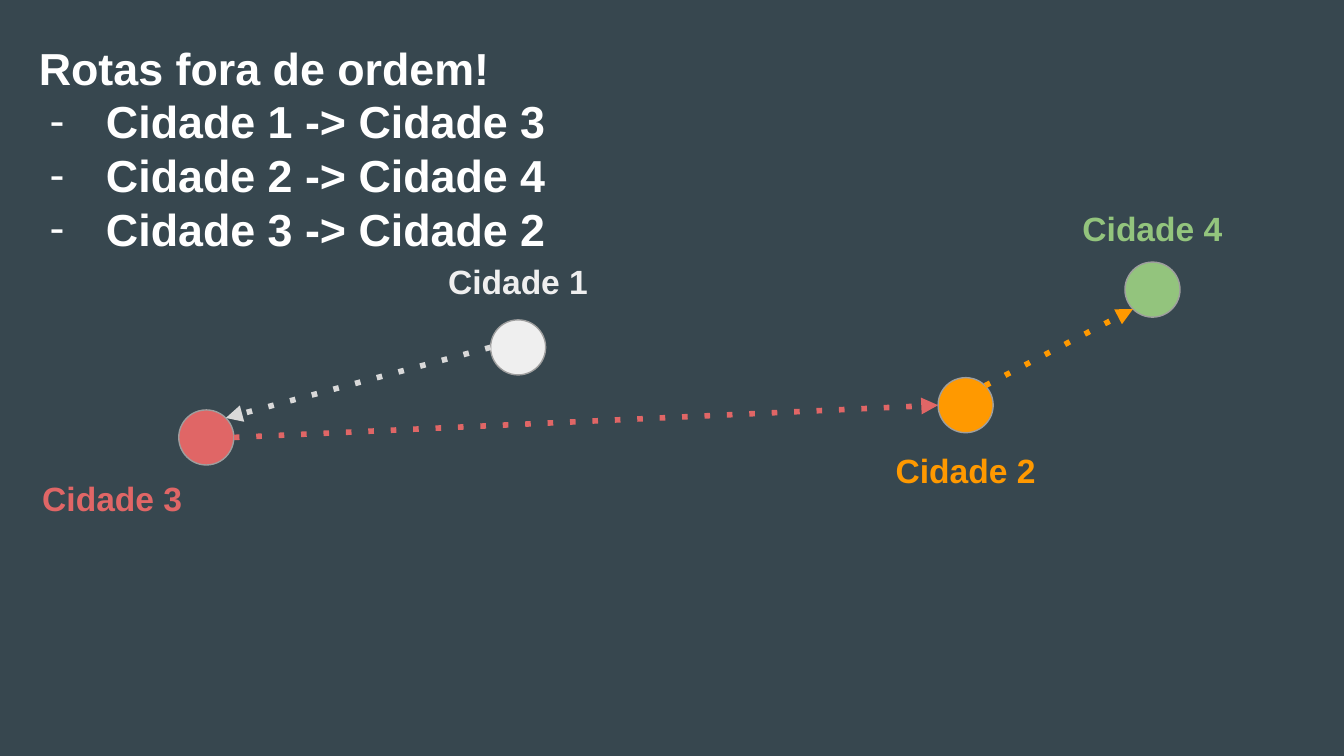
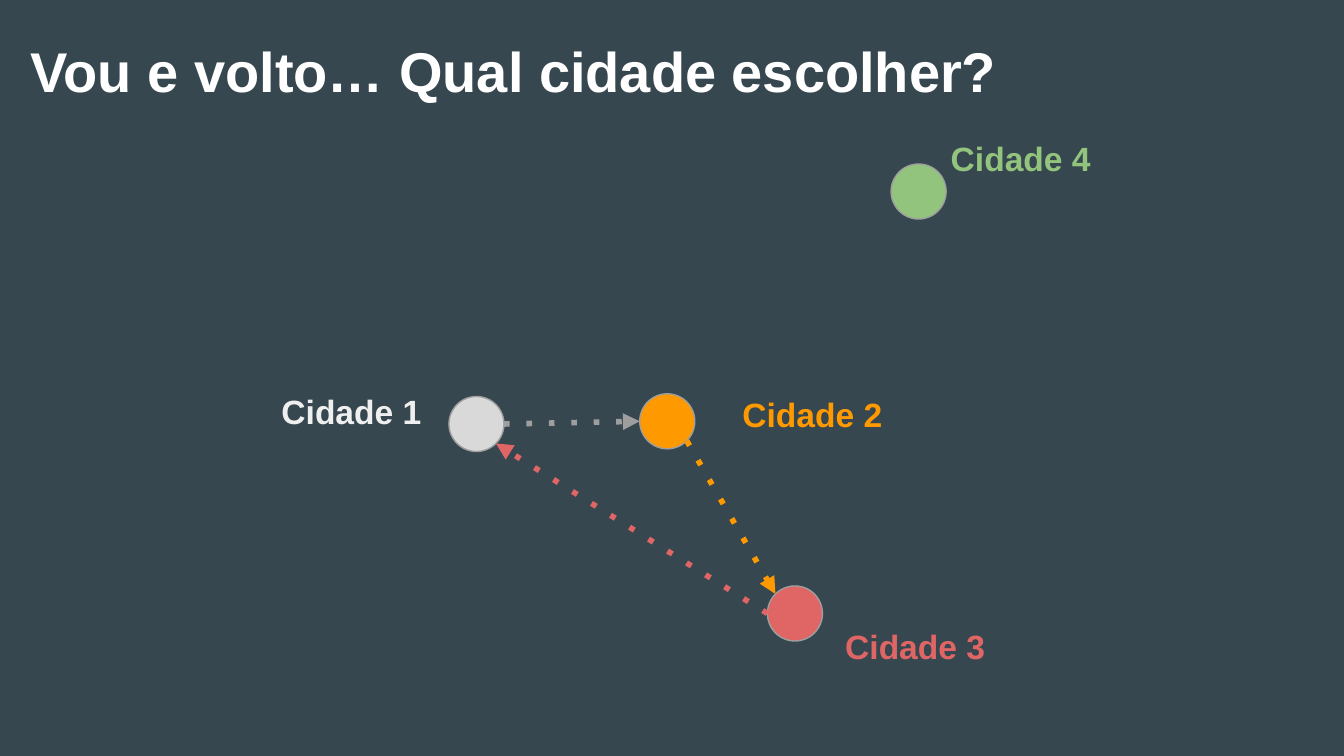
from math import sqrt

from lxml import etree
from pptx import Presentation
from pptx import util as u
from pptx.dml.color import RGBColor
from pptx.enum import shapes, text
from pptx.oxml.ns import qn

BACKGROUND, WHITE, OUTLINE = "37474F", "FFFFFF", "9E9E9E"
SILVER, PALE, ORANGE, RED, GREEN = "D9D9D9", "EFEFEF", "FF9900", "E06666", "93C47D"
FONT = "Arial"
DIAMETER = 0.41
LABEL_SIZE = (1.29, 0.64)
LABEL_COLORS = {1: PALE, 2: ORANGE, 3: RED, 4: GREEN}
DIAGONAL = sqrt(0.5)
SITES = {
    "left": (-1, 0),
    "right": (1, 0),
    "top left": (-DIAGONAL, -DIAGONAL),
    "top right": (DIAGONAL, -DIAGONAL),
    "bottom left": (-DIAGONAL, DIAGONAL),
    "bottom right": (DIAGONAL, DIAGONAL),
}
CENTER, LEFT = text.PP_ALIGN.CENTER, text.PP_ALIGN.LEFT

SLIDES = [
    {
        "title": "Rotas fora de ordem!",
        "title_at": (0.19, 0.2, 7.62, 1.64),
        "title_size": 24,
        "items": ["Cidade 1 -> Cidade 3", "Cidade 2 -> Cidade 4", "Cidade 3 -> Cidade 2"],
        "cities": {
            3: ((1.33, 3.05), RED, (0.19, 3.46), CENTER),
            1: ((3.65, 2.38), PALE, (3.21, 1.84), CENTER),
            2: ((6.98, 2.81), ORANGE, (6.54, 3.25), CENTER),
            4: ((8.37, 1.95), GREEN, (7.93, 1.45), CENTER),
        },
        "routes": [
            (3, "right", 2, "left", RED),
            (2, "top right", 4, "bottom left", ORANGE),
            (1, "left", 3, "top right", SILVER),
        ],
    },
    {
        "title": "Vou e volto… Qual cidade escolher?",
        "title_at": (0.13, 0.17, 7.62, 0.75),
        "title_size": 30,
        "items": [],
        "cities": {
            1: ((3.34, 2.95), SILVER, (1.97, 2.81), CENTER),
            2: ((4.76, 2.93), ORANGE, (5.4, 2.83), CENTER),
            3: ((5.71, 4.36), RED, (6.19, 4.56), LEFT),
            4: ((6.63, 1.22), GREEN, (6.95, 0.93), CENTER),
        },
        "routes": [
            (1, "right", 2, "left", OUTLINE),
            (2, "bottom right", 3, "top left", ORANGE),
            (3, "left", 1, "bottom right", RED),
        ],
    },
]


def paint(color_format, color):
    color_format.rgb = RGBColor.from_string(color)


def add_text(page, at, lines, size, color, align=LEFT):
    box = page.shapes.add_textbox(*map(u.Inches, at))
    frame = box.text_frame
    frame.word_wrap = True
    frame.margin_left = frame.margin_right = u.Inches(0.1)
    frame.margin_top = frame.margin_bottom = u.Inches(0.1)
    frame.text = "\n".join(lines)
    for para in frame.paragraphs:
        para.alignment = align
        para.font.name = FONT
        para.font.size = u.Pt(size)
        paint(para.font.color, color)
        for span in para.runs:
            span.font.bold = True
    return frame


def add_dash(para, color):
    properties = para._p.get_or_add_pPr()
    properties.set("marL", str(u.Inches(0.5)))
    properties.set("indent", str(u.Inches(-0.42)))
    bullet_color = etree.Element(qn("a:buClr"))
    etree.SubElement(bullet_color, qn("a:srgbClr"), val=color)
    bullet_font = etree.Element(qn("a:buFont"), typeface=FONT)
    bullet = etree.Element(qn("a:buChar"), char="-")
    defaults = properties.find(qn("a:defRPr"))
    for part in (bullet_color, bullet_font, bullet):
        defaults.addprevious(part)


def add_city(page, corner, color):
    city = page.shapes.add_shape(
        shapes.MSO_SHAPE.FLOWCHART_CONNECTOR,
        *map(u.Inches, (*corner, DIAMETER, DIAMETER)),
    )
    city.shadow.inherit = False
    city.fill.solid()
    paint(city.fill.fore_color, color)
    paint(city.line.color, OUTLINE)
    city.line.width = u.Pt(0.75)


def site_point(corner, site):
    radius = DIAMETER / 2
    return [u.Inches(start + radius * (1 + step)) for start, step in zip(corner, SITES[site])]


def add_route(page, start, end, color):
    route = page.shapes.add_connector(shapes.MSO_CONNECTOR.STRAIGHT, *start, *end)
    paint(route.line.color, color)
    route.line.width = u.Pt(3)
    outline = route.line._get_or_add_ln()
    etree.SubElement(outline, qn("a:prstDash"), val="dot")
    etree.SubElement(outline, qn("a:tailEnd"), type="triangle")
    etree.SubElement(route._element.spPr, qn("a:effectLst"))


def build_slide(deck, content):
    page = deck.slides.add_slide(deck.slide_layouts[6])
    page.background.fill.solid()
    paint(page.background.fill.fore_color, BACKGROUND)
    cities = content["cities"]
    for corner, color, _, _ in cities.values():
        add_city(page, corner, color)
    for number, (_, _, label_at, align) in sorted(cities.items()):
        add_text(page, (*label_at, *LABEL_SIZE), [f"Cidade {number}"], 18,
                 LABEL_COLORS[number], align)
    for origin, exit_site, target, entry_site, color in content["routes"]:
        add_route(page, site_point(cities[origin][0], exit_site),
                  site_point(cities[target][0], entry_site), color)
    title = add_text(page, content["title_at"], [content["title"], *content["items"]],
                     content["title_size"], WHITE)
    for para in title.paragraphs[1:]:
        add_dash(para, WHITE)


def main():
    deck = Presentation()
    deck.slide_width = u.Inches(10)
    deck.slide_height = deck.slide_width * 9 // 16
    for content in SLIDES:
        build_slide(deck, content)
    deck.save("out.pptx")


if __name__ == "__main__":
    main()
